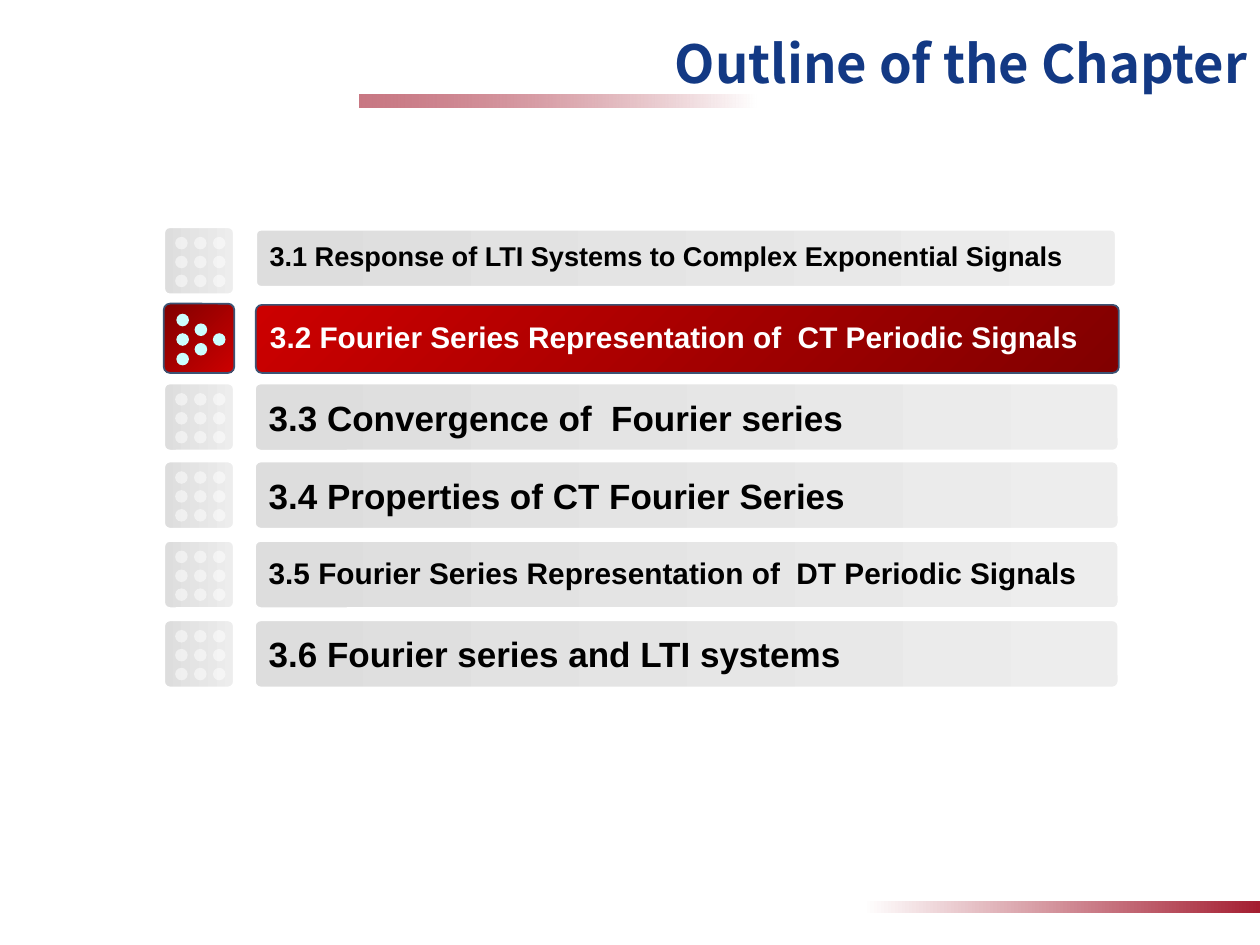
from dataclasses import dataclass
from itertools import product

from lxml import etree
from pptx import Presentation
from pptx.dml.color import RGBColor
from pptx.enum.shapes import MSO_SHAPE
from pptx.enum.text import MSO_ANCHOR, PP_ALIGN
from pptx.oxml.ns import qn
from pptx.util import Inches, Pt

RECTANGLE = MSO_SHAPE.RECTANGLE
ROUNDED = MSO_SHAPE.ROUNDED_RECTANGLE
OVAL = MSO_SHAPE.OVAL
MIDDLE = MSO_ANCHOR.MIDDLE
LEFT = PP_ALIGN.LEFT
RIGHT = PP_ALIGN.RIGHT

WHITE = RGBColor(0xFF, 0xFF, 0xFF)
BLACK = RGBColor(0x00, 0x00, 0x00)
NAVY = RGBColor(0x13, 0x39, 0x84)
CRIMSON = RGBColor(0xA4, 0x1E, 0x31)
GRAY = RGBColor(0xDD, 0xDD, 0xDD)
LIGHT_GRAY = RGBColor(0xED, 0xED, 0xED)
RED = RGBColor(0xCC, 0x00, 0x00)
DARK_RED = RGBColor(0x81, 0x00, 0x00)
SLATE = RGBColor(0x3C, 0x53, 0x74)
PALE_CYAN = RGBColor(0xCC, 0xFF, 0xFF)

DOT_SIZE = 0.1
ICON_LEFT, ICON_WIDTH = 1.3, 0.56
GRID_DOTS = [(0.09 + 0.15 * column, 0.08 + 0.15 * row)
             for row, column in product(range(3), repeat=2)]
ARROW_DOTS = [(0.1 + 0.145 * column, 0.235 + 0.0775 * step)
              for column, steps in enumerate([(-2, 0, 2), (-1, 1), (0,)])
              for step in steps]


@dataclass
class Topic:
    text: str
    size: float
    icon_top: float
    bar: tuple
    spacing: float = 1.0
    active: bool = False


TOPICS = [
    Topic("3.1 Response of LTI Systems to Complex Exponential Signals", 15.5,
          1.8, (2.03, 1.82, 6.83, 0.46), 0.8),
    Topic("3.2 Fourier Series Representation of  CT Periodic Signals", 17,
          2.41, (2.03, 2.42, 6.85, 0.54), 0.9, True),
    Topic("3.3 Convergence of  Fourier series", 20, 3.04, (2.02, 3.04, 6.86, 0.54)),
    Topic("3.4 Properties of CT Fourier Series", 20, 3.66, (2.02, 3.66, 6.86, 0.54)),
    Topic("3.5 Fourier Series Representation of  DT Periodic Signals", 17,
          4.29, (2.02, 4.29, 6.86, 0.54), 0.9),
    Topic("3.6 Fourier series and LTI systems", 20, 4.92, (2.02, 4.92, 6.86, 0.54)),
]


def set_alpha(color_element, percent):
    alpha = etree.SubElement(color_element, qn("a:alpha"))
    alpha.set("val", str(percent * 1000))


def add_plain_shape(shapes, kind, box):
    shape = shapes.add_shape(kind, *map(Inches, box))
    shape.shadow.inherit = False
    shape.line.fill.background()
    return shape


def fill_gradient(shape, colors, angle=0):
    shape.fill.gradient()
    shape.fill.gradient_angle = angle
    for stop, color in zip(shape.fill.gradient_stops, colors):
        stop.color.rgb = color


def add_accent(slide, box, angle=0, opacity=100):
    accent = add_plain_shape(slide.shapes, RECTANGLE, box)
    fill_gradient(accent, (WHITE, CRIMSON), angle)
    if opacity < 100:
        color_elements = list(accent.element.spPr.iter(qn("a:srgbClr")))
        set_alpha(color_elements[-1], opacity)


def style_paragraph(paragraph, text, font, size, color, alignment):
    paragraph.text = text
    paragraph.alignment = alignment
    paragraph.font.name = font
    paragraph.font.size = Pt(size)
    paragraph.font.bold = True
    paragraph.font.color.rgb = color


def add_title(slide, box):
    title = slide.shapes.add_textbox(*map(Inches, box))
    title.text_frame.word_wrap = True
    style_paragraph(title.text_frame.paragraphs[0], "Outline of the Chapter",
                    "Noto Sans CJK SC", 30, NAVY, RIGHT)


def add_panel(slide, box, colors, active):
    panel = add_plain_shape(slide.shapes, ROUNDED, box)
    panel.adjustments[0] = 0.09
    fill_gradient(panel, colors, 315 if active else 0)
    panel.line.color.rgb = SLATE if active else WHITE
    panel.line.width = Pt(1 if active else 1.5)
    return panel


def add_icon(slide, box, active):
    add_panel(slide, box, (DARK_RED, RED) if active else (GRAY, LIGHT_GRAY), active)
    left, top = box[:2]
    group = slide.shapes.add_group_shape()
    for x, y in ARROW_DOTS if active else GRID_DOTS:
        dot = add_plain_shape(group.shapes, OVAL, (left + x, top + y, DOT_SIZE, DOT_SIZE))
        dot.fill.solid()
        dot.fill.fore_color.rgb = PALE_CYAN if active else WHITE
        if not active:
            set_alpha(dot.element.spPr.find(".//" + qn("a:srgbClr")), 50)


def add_bar(slide, box, topic):
    colors = (RED, DARK_RED) if topic.active else (GRAY, LIGHT_GRAY)
    bar = add_panel(slide, box, colors, topic.active)
    frame = bar.text_frame
    frame.word_wrap = True
    frame.vertical_anchor = MIDDLE
    paragraph = frame.paragraphs[0]
    style_paragraph(paragraph, topic.text, "Arial", topic.size,
                    WHITE if topic.active else BLACK, LEFT)
    paragraph.line_spacing = topic.spacing


def main():
    presentation = Presentation()
    presentation.slide_width = Inches(10)
    presentation.slide_height = Inches(7.5)
    slide = presentation.slides.add_slide(presentation.slide_layouts[6])
    add_accent(slide, (2.85, 0.75, 3.15, 0.1), angle=180, opacity=60)
    add_accent(slide, (6.85, 7.15, 3.15, 0.1))
    add_title(slide, (0, 0.2, 10, 0.75))
    for topic in TOPICS:
        icon_height = 0.55 if topic.active else 0.54
        add_icon(slide, (ICON_LEFT, topic.icon_top, ICON_WIDTH, icon_height), topic.active)
        add_bar(slide, topic.bar, topic)
    presentation.save("out.pptx")


if __name__ == "__main__":
    main()
